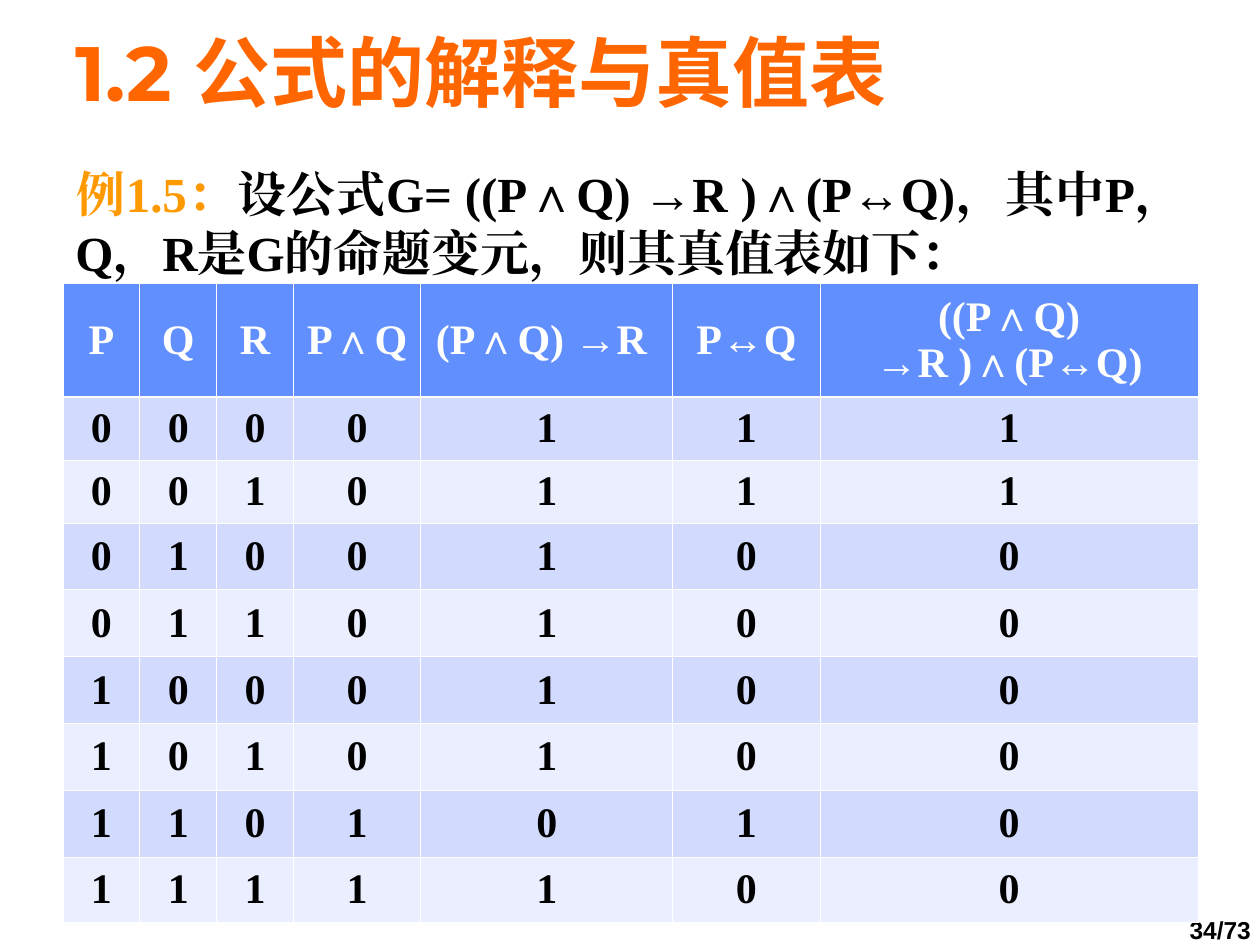
from typing import NamedTuple

from lxml.etree import SubElement
from pptx import Presentation
from pptx.dml.color import RGBColor
from pptx.enum.text import MSO_ANCHOR, PP_ALIGN
from pptx.oxml.ns import qn
from pptx.util import Inches, Pt


class Style(NamedTuple):
    font: str
    size: int
    color: str


class Span(NamedTuple):
    text: str
    style: Style


class Block(NamedTuple):
    left: float
    top: float
    width: float
    height: float
    spans: list[Span]
    align: PP_ALIGN = PP_ALIGN.LEFT
    anchor: MSO_ANCHOR = MSO_ANCHOR.MIDDLE
    space: float = 1
    before: float = 0
    hang: float = 0
    wrap: bool = True


SERIF = "Times New Roman"
TITLE = Style("Montserrat", 44, "FF6600")
LABEL = Style(SERIF, 28, "FF9900")
BODY = Style(SERIF, 28, "000000")
HEAD = Style(SERIF, 24, "FFFFFF")
CELL = Style(SERIF, 24, "000000")
PAGE = Style("Arial", 14, "000000")

BLOCKS = [
    Block(8.98, 7.25, 1.41, 0.3, [Span("34/73", PAGE)],
          align=PP_ALIGN.CENTER, space=0.85, before=8.8, wrap=False),
    Block(0.5, 0.25, 9, 0.7, [Span("1.2 公式的解释与真值表", TITLE)],
          space=0.93, before=13.8),
    Block(0.25, 1.25, 9.25, 1.17, [
        Span("\t例1.5：", LABEL),
        Span("设公式G= ((P∧Q) →R )∧(P↔Q)，其中P，Q，R是G的命题变元，则其真值表如下：", BODY),
    ], align=PP_ALIGN.JUSTIFY, anchor=MSO_ANCHOR.TOP, hang=0.25),
]

NAMES = ["P", "Q", "R", "P∧Q", "(P∧Q) →R ", "P↔Q", "((P∧Q) →R )∧(P↔Q)"]
VALUES = ["0000111", "0010111", "0100100", "0110100",
          "1000100", "1010100", "1101010", "1111100"]
WIDTHS = [0.61] * 3 + [1.01, 2, 1.17, 3]
HEIGHTS = [0.9] + [0.5] * 2 + [0.53] * 5 + [0.52]
BLUE = "618FFD"
BANDS = ["D2DBFE", "EAEEFF"]
THIN, THICK = 0.45, 1.47


def color(code: str) -> RGBColor:
    return RGBColor.from_string(code)


def add_span(para, span: Span) -> None:
    run = para.add_run()
    run.text = span.text
    font = run.font
    font.name = span.style.font
    font.size = Pt(span.style.size)
    font.bold = True
    font.color.rgb = color(span.style.color)
    SubElement(run._r.get_or_add_rPr(), qn("a:ea"), typeface=span.style.font)


def add_block(slide, block: Block) -> None:
    box = slide.shapes.add_textbox(Inches(block.left), Inches(block.top),
                                   Inches(block.width), Inches(block.height))
    frame = box.text_frame
    frame.word_wrap = block.wrap
    frame.vertical_anchor = block.anchor
    para = frame.paragraphs[0]
    para.alignment = block.align
    para.line_spacing = block.space
    para.space_before = Pt(block.before)
    if block.hang:
        props = para._p.get_or_add_pPr()
        props.set("marL", str(Inches(block.hang)))
        props.set("indent", str(-Inches(block.hang)))
    for span in block.spans:
        add_span(para, span)


def add_edge(props, side: str, width: float) -> None:
    line = SubElement(props, qn(f"a:{side}"), w=str(Pt(width)))
    fill = SubElement(line, qn("a:solidFill"))
    SubElement(fill, qn("a:srgbClr"), val="FFFFFF")


def fill_cell(cell, span: Span, back: str, top: float, base: float) -> None:
    cell.vertical_anchor = MSO_ANCHOR.MIDDLE
    props = cell._tc.get_or_add_tcPr()
    for side, width in [("lnL", THIN), ("lnR", THIN), ("lnT", top), ("lnB", base)]:
        add_edge(props, side, width)
    cell.fill.solid()
    cell.fill.fore_color.rgb = color(back)
    para = cell.text_frame.paragraphs[0]
    para.alignment = PP_ALIGN.CENTER
    add_span(para, span)


def add_truth(slide) -> None:
    rows = [NAMES, *VALUES]
    table = slide.shapes.add_table(len(rows), len(NAMES), Inches(0.5), Inches(2.25),
                                   Inches(9), Inches(sum(HEIGHTS))).table
    for column, width in zip(table.columns, WIDTHS):
        column.width = Inches(width)
    for row, height in zip(table.rows, HEIGHTS):
        row.height = Inches(height)
    for i, row in enumerate(rows):
        style = CELL if i else HEAD
        back = BANDS[(i - 1) % 2] if i else BLUE
        top = THICK if i == 1 else THIN
        base = THICK if i == 0 else THIN
        for j, text in enumerate(row):
            fill_cell(table.cell(i, j), Span(text, style), back, top, base)


def main() -> None:
    deck = Presentation()
    deck.slide_width = Inches(10)
    deck.slide_height = Inches(7.5)
    slide = deck.slides.add_slide(deck.slide_layouts[6])
    for block in BLOCKS:
        add_block(slide, block)
    add_truth(slide)
    deck.save("out.pptx")


if __name__ == "__main__":
    main()
